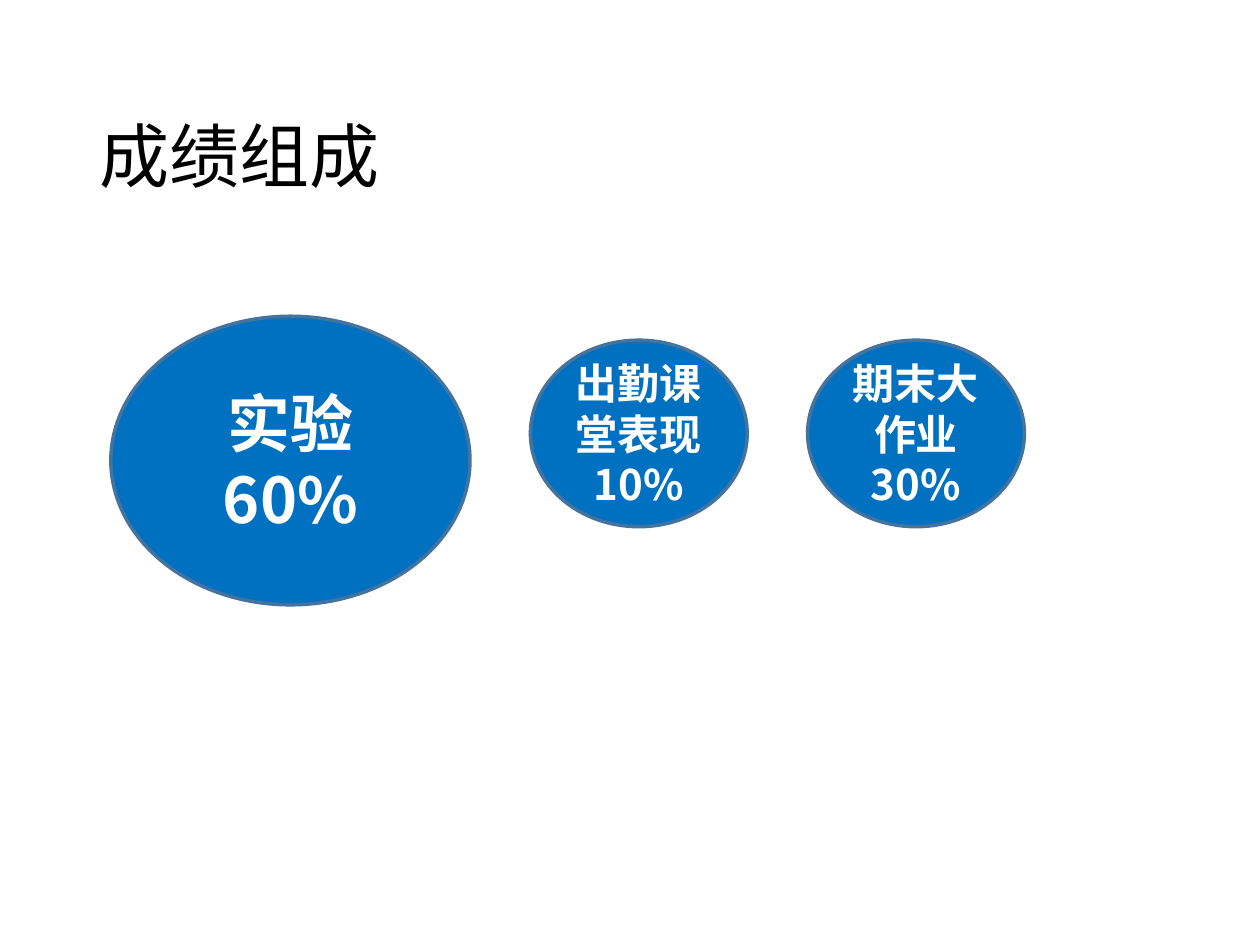
from lxml import etree
from pptx import Presentation
from pptx.dml.color import RGBColor
from pptx.enum.shapes import MSO_SHAPE
from pptx.enum.text import MSO_ANCHOR, PP_ALIGN
from pptx.oxml.ns import qn
from pptx.util import Inches, Pt

OVAL = MSO_SHAPE.OVAL
MIDDLE = MSO_ANCHOR.MIDDLE
LEFT, CENTER = PP_ALIGN.LEFT, PP_ALIGN.CENTER

FONT = "Noto Sans CJK SC"
BLACK = RGBColor(0x00, 0x00, 0x00)
WHITE = RGBColor(0xFF, 0xFF, 0xFF)
BLUE = RGBColor(0x00, 0x70, 0xC0)
OUTLINE = RGBColor(0x43, 0x73, 0x9E)


def write_text(shape, text, size, color, bold=False, align=CENTER, line_spacing=1.0):
    frame = shape.text_frame
    frame.word_wrap = True
    frame.vertical_anchor = MIDDLE
    paragraph = frame.paragraphs[0]
    paragraph.alignment = align
    paragraph.line_spacing = line_spacing
    run = paragraph.add_run()
    run.text = text
    run.font.name = FONT
    run.font.size = Pt(size)
    run.font.bold = bold
    run.font.color.rgb = color
    east_asian = etree.SubElement(run.font._element, qn("a:ea"))
    east_asian.set("typeface", FONT)


presentation = Presentation()
presentation.slide_width = Inches(10)
presentation.slide_height = Inches(7.5)
slide = presentation.slides.add_slide(presentation.slide_layouts[5])

title = slide.shapes.title
title.left, title.top = Inches(0.69), Inches(0.77)
title.width, title.height = Inches(8.62), Inches(0.99)
write_text(title, "成绩组成", size=40, color=BLACK, align=LEFT, line_spacing=0.9)

# Text, left, top, width, height, font size
grade_parts = [
    ("实验60%", 0.88, 2.51, 2.85, 2.29, 36),
    ("出勤课堂表现10%", 4.21, 2.7, 1.72, 1.48, 24),
    ("期末大作业30%", 6.41, 2.7, 1.72, 1.48, 24),
]
for text, left, top, width, height, size in grade_parts:
    ellipse = slide.shapes.add_shape(
        OVAL, Inches(left), Inches(top), Inches(width), Inches(height)
    )
    ellipse.shadow.inherit = False
    ellipse.fill.solid()
    ellipse.fill.fore_color.rgb = BLUE
    ellipse.line.color.rgb = OUTLINE
    ellipse.line.width = Pt(2)
    write_text(ellipse, text, size=size, color=WHITE, bold=True)

presentation.save("out.pptx")
